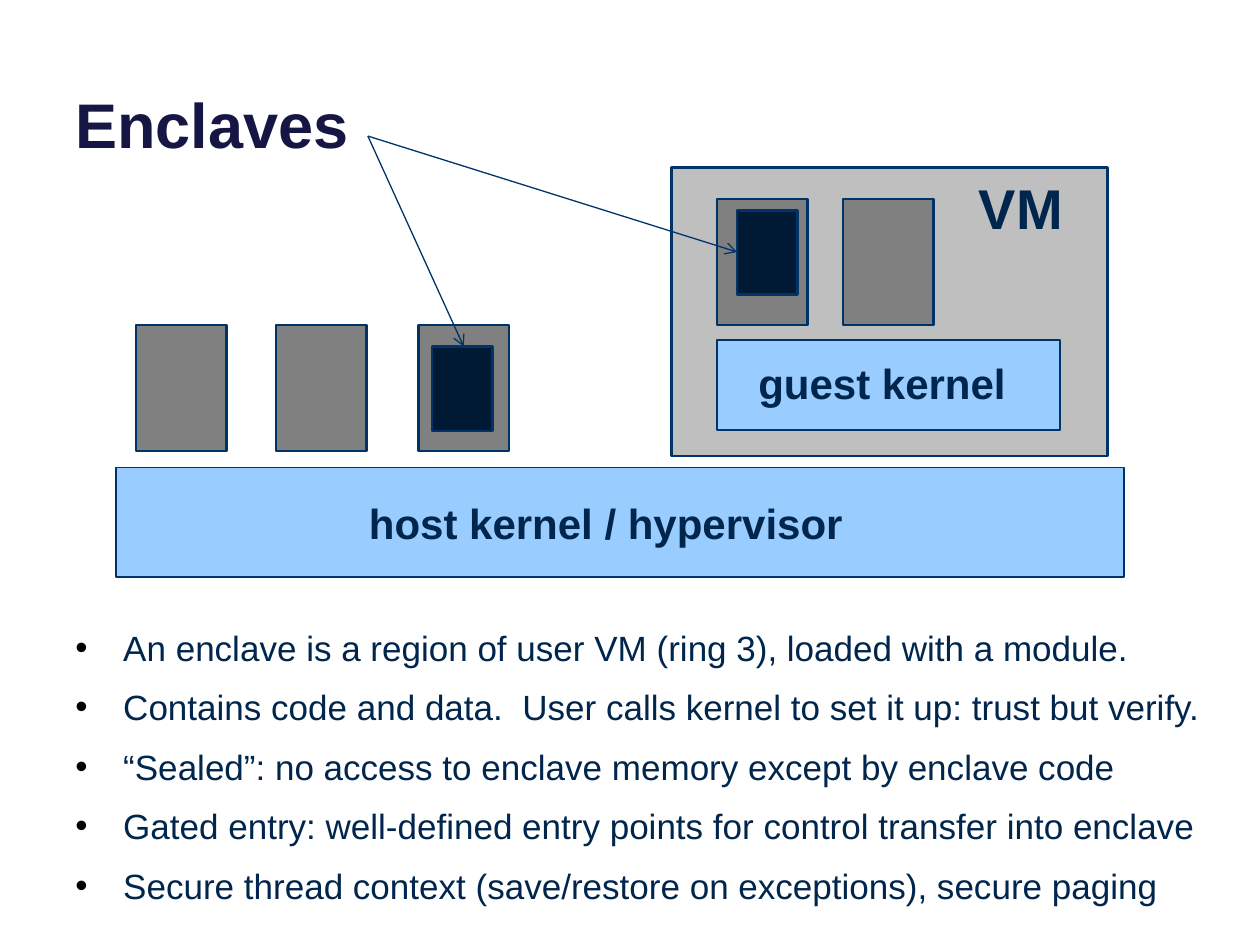
from dataclasses import dataclass

from lxml.etree import SubElement
from pptx import Presentation
from pptx.dml.color import RGBColor
from pptx.enum.shapes import MSO_CONNECTOR as Connector
from pptx.enum.shapes import MSO_SHAPE as Shape
from pptx.enum.text import MSO_ANCHOR as Anchor
from pptx.oxml.ns import qn
from pptx.slide import Slide
from pptx.text.text import _Paragraph as Paragraph
from pptx.util import Inches, Pt


@dataclass(frozen=True)
class Theme:
    font: str = "Arial"
    title: str = "161645"
    text: str = "00264D"
    bullet: str = "000000"
    outline: str = "003367"
    kernel: str = "99CCFF"
    machine: str = "BFBFBF"
    process: str = "808080"
    enclave: str = "001934"
    title_size: int = 36
    machine_size: int = 32
    kernel_size: int = 24
    body_size: int = 20
    body_gap: int = 10


THEME = Theme()


@dataclass(frozen=True)
class Box:
    left: float
    top: float
    width: float
    height: float
    fill: str
    line_width: float = 1.5
    kind: Shape = Shape.RECTANGLE


@dataclass(frozen=True)
class Label:
    left: float
    top: float
    width: float
    height: float
    lines: tuple[str, ...]
    size: int
    color: str = THEME.text
    bold: bool = True
    anchor: Anchor = Anchor.TOP
    bulleted: bool = False


@dataclass(frozen=True)
class Arrow:
    end_x: float
    end_y: float


def process(left: float, top: float) -> Box:
    return Box(left, top, 0.72, 1, THEME.process)


def enclave(left: float, top: float) -> Box:
    return Box(left, top, 0.48, 0.67, THEME.enclave)


def kernel(left: float, top: float, width: float, height: float) -> Box:
    return Box(left, top, width, height, THEME.kernel, 1, Shape.FLOWCHART_PROCESS)


BOXES = (
    *(process(left, 2.58) for left in (1.08, 2.19, 3.32)),
    kernel(0.92, 3.71, 8, 0.87),
    Box(5.33, 1.33, 3.46, 2.29, THEME.machine),
    kernel(5.69, 2.7, 2.72, 0.71),
    *(process(left, 1.58) for left in (5.69, 6.69)),
    enclave(5.85, 1.67),
    enclave(3.43, 2.75),
)

LABELS = (
    Label(0.5, -0.37, 9, 1.7, ("Enclaves",), THEME.title_size, THEME.title,
          anchor=Anchor.BOTTOM),
    Label(2.83, 3.9, 4.17, 0.5, ("host kernel / hypervisor",), THEME.kernel_size),
    Label(5.92, 2.79, 2.87, 0.5, ("guest kernel",), THEME.kernel_size),
    Label(7.67, 1.33, 1.12, 0.64, ("VM",), THEME.machine_size),
    Label(0.5, 4.92, 9.17, 1.83, (
        "An enclave is a region of user VM (ring 3), loaded with a module.",
        "Contains code and data.  User calls kernel to set it up: trust but verify.",
        "“Sealed”: no access to enclave memory except by enclave code",
        "Gated entry: well-defined entry points for control transfer into enclave",
        "Secure thread context (save/restore on exceptions), secure paging",
    ), THEME.body_size, bold=False, bulleted=True),
)

ARROW_START = (2.92, 1.08)
ARROWS = (Arrow(5.85, 2), Arrow(3.68, 2.75))


def rgb(color: str) -> RGBColor:
    return RGBColor.from_string(color)


def draw_box(slide: Slide, box: Box) -> None:
    shape = slide.shapes.add_shape(
        box.kind, Inches(box.left), Inches(box.top), Inches(box.width), Inches(box.height))
    shape.shadow.inherit = False
    shape.fill.solid()
    shape.fill.fore_color.rgb = rgb(box.fill)
    shape.line.color.rgb = rgb(THEME.outline)
    shape.line.width = Pt(box.line_width)


def add_bullet(paragraph: Paragraph) -> None:
    properties = paragraph._p.get_or_add_pPr()
    indent = Inches(0.38)
    properties.set("marL", str(indent))
    properties.set("indent", str(-indent))
    color = SubElement(properties, qn("a:buClr"))
    SubElement(color, qn("a:srgbClr"), val=THEME.bullet)
    SubElement(properties, qn("a:buFont"), typeface=THEME.font)
    SubElement(properties, qn("a:buChar"), char="•")


def draw_label(slide: Slide, label: Label) -> None:
    shape = slide.shapes.add_textbox(
        Inches(label.left), Inches(label.top), Inches(label.width), Inches(label.height))
    frame = shape.text_frame
    frame.word_wrap = True
    frame.vertical_anchor = label.anchor
    frame.text = "\n".join(label.lines)
    for index, paragraph in enumerate(frame.paragraphs):
        if label.bulleted:
            add_bullet(paragraph)
        if index:
            paragraph.space_before = Pt(THEME.body_gap)
        font = paragraph.font
        font.name = THEME.font
        font.size = Pt(label.size)
        font.bold = label.bold
        font.color.rgb = rgb(label.color)


def draw_arrow(slide: Slide, arrow: Arrow) -> None:
    start_x, start_y = ARROW_START
    connector = slide.shapes.add_connector(
        Connector.STRAIGHT, Inches(start_x), Inches(start_y),
        Inches(arrow.end_x), Inches(arrow.end_y))
    connector.line.color.rgb = rgb(THEME.outline)
    connector.line.width = Pt(0.75)
    SubElement(connector.line._get_or_add_ln(), qn("a:tailEnd"), type="arrow")
    SubElement(connector._element.spPr, qn("a:effectLst"))


def main() -> None:
    presentation = Presentation()
    presentation.slide_width = Inches(10)
    presentation.slide_height = Inches(7.5)
    slide = presentation.slides.add_slide(presentation.slide_layouts[6])
    for box in BOXES:
        draw_box(slide, box)
    for label in LABELS:
        draw_label(slide, label)
    for arrow in ARROWS:
        draw_arrow(slide, arrow)
    presentation.save("out.pptx")


if __name__ == "__main__":
    main()
